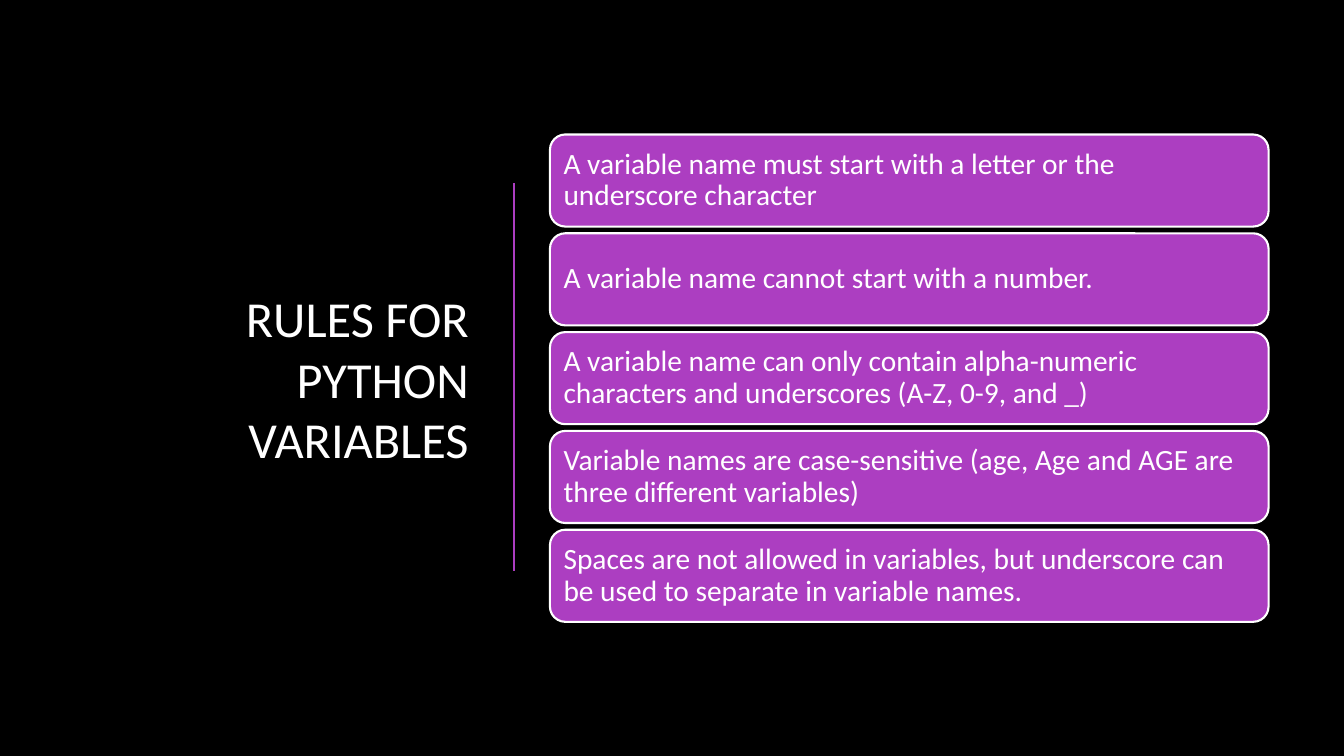
from dataclasses import dataclass
from lxml.etree import SubElement
from pptx import Presentation
from pptx.dml.color import RGBColor
from pptx.enum.shapes import MSO_CONNECTOR, MSO_SHAPE
from pptx.enum.text import MSO_ANCHOR, MSO_AUTO_SIZE, PP_ALIGN
from pptx.oxml.ns import qn
from pptx.util import Cm, Pt


@dataclass(frozen=True)
class Theme:
    background: RGBColor = RGBColor.from_string("000000")
    accent: RGBColor = RGBColor.from_string("AC3EC1")
    text: RGBColor = RGBColor.from_string("FFFFFF")
    font: str = "Calibri"
    title_size: Pt = Pt(36)
    rule_size: Pt = Pt(21)
    line_width: Pt = Pt(1.5)


theme = Theme()


def add_run(paragraph, text, size):
    run = paragraph.add_run()
    run.text = text
    run.font.name = theme.font
    run.font.size = size
    run.font.color.rgb = theme.text


presentation = Presentation()
presentation.slide_width = Cm(33.87)
presentation.slide_height = Cm(19.05)
slide = presentation.slides.add_slide(presentation.slide_layouts[5])
slide.background.fill.solid()
slide.background.fill.fore_color.rgb = theme.background

title = slide.shapes.title
title.left, title.top, title.width, title.height = Cm(1.91), Cm(3.2), Cm(10.16), Cm(12.65)
title_frame = title.text_frame
title_frame.word_wrap = True
title_frame.auto_size = MSO_AUTO_SIZE.NONE
title_frame.vertical_anchor = MSO_ANCHOR.MIDDLE
title_paragraph = title_frame.paragraphs[0]
title_paragraph.alignment = PP_ALIGN.RIGHT
add_run(title_paragraph, "RULES FOR PYTHON VARIABLES", theme.title_size)

divider = slide.shapes.add_connector(
    MSO_CONNECTOR.STRAIGHT, Cm(12.95), Cm(4.62), Cm(12.95), Cm(14.4)
)
divider.line.color.rgb = theme.accent
divider.line.width = theme.line_width
SubElement(divider._element.spPr, qn("a:effectLst"))

rules = [
    "A variable name must start with a letter or the underscore character",
    "A variable name cannot start with a number.",
    "A variable name can only contain alpha-numeric characters and underscores (A-Z, 0-9, and _)",
    "Variable names are case-sensitive (age, Age and AGE are three different variables)",
    "Spaces are not allowed in variables, but underscore can be used to separate in variable names.",
]
first_top = 3.39
row_pitch = 2.49

for index, rule in enumerate(rules):
    card = slide.shapes.add_shape(
        MSO_SHAPE.ROUNDED_RECTANGLE,
        Cm(13.86), Cm(first_top + index * row_pitch), Cm(18.11), Cm(2.32),
    )
    card.shadow.inherit = False
    card.fill.solid()
    card.fill.fore_color.rgb = theme.accent
    card.line.color.rgb = theme.text
    card.line.width = theme.line_width
    frame = card.text_frame
    frame.word_wrap = True
    frame.vertical_anchor = MSO_ANCHOR.MIDDLE
    frame.margin_left = frame.margin_right = Cm(0.23)
    frame.margin_top = frame.margin_bottom = Cm(0.23)
    paragraph = frame.paragraphs[0]
    paragraph.alignment = PP_ALIGN.LEFT
    paragraph.line_spacing = 0.9
    add_run(paragraph, rule, theme.rule_size)

presentation.save("out.pptx")
